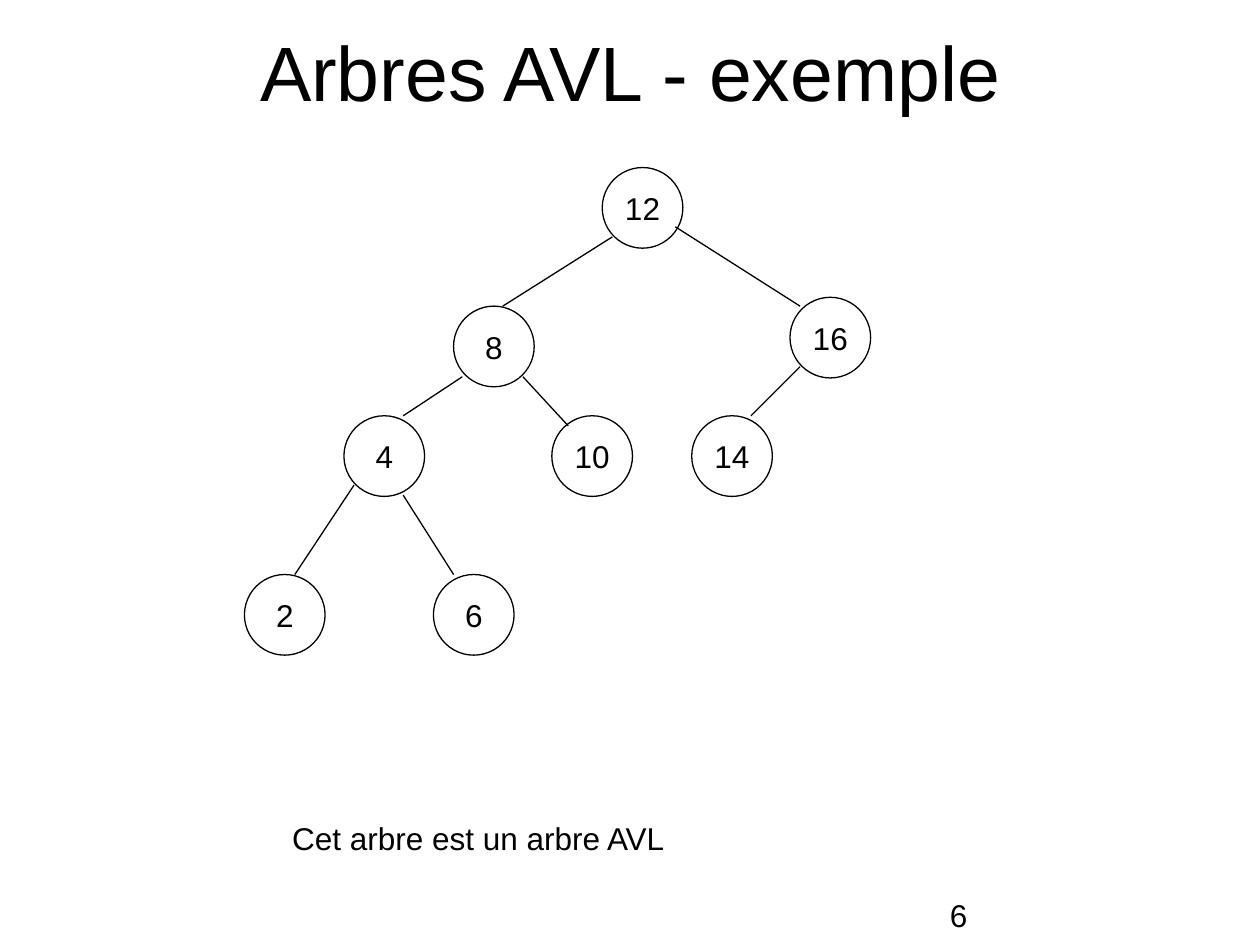
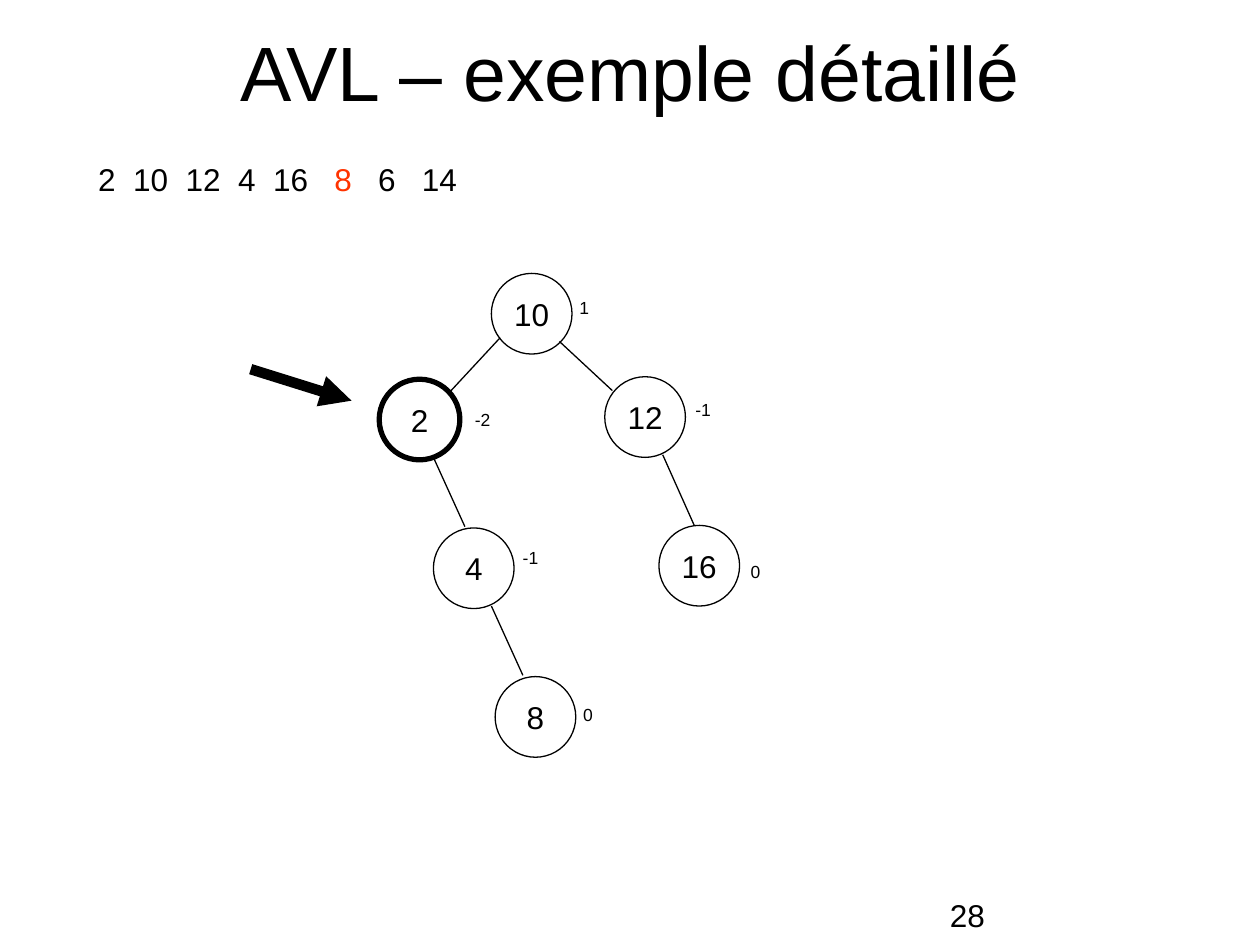
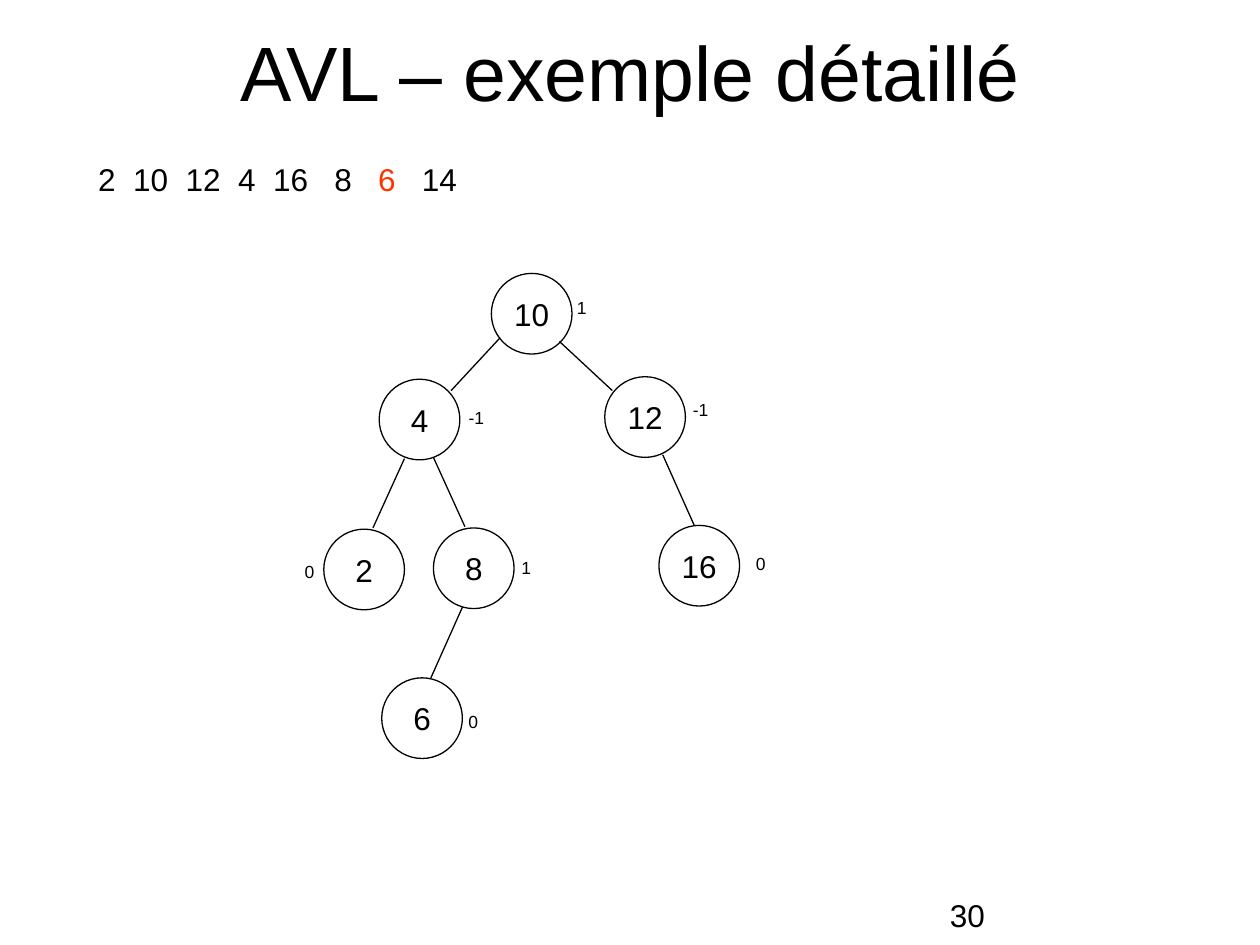
"""Build three slides that show AVL trees and the insertion of keys into them."""
from lxml import etree
from pptx import Presentation
from pptx import util as u
from pptx.dml.color import RGBColor
from pptx.enum import shapes, text
from pptx.oxml import ns

COLORS = {"ink": "000000", "current": "FF3300"}
FONT = "Arial"
DIAMETER = 0.64
DIGIT_WIDTH = 0.14
LABEL_HEIGHT = 0.3
THIN, BOLD, POINTER = 0.75, 3, 6
KEYS = "2  10  12  4  16   8   6   14"

SPOTS = {
    "root": (3.9, 2.17),
    "left": (3.01, 3.01),
    "right": (4.8, 2.99),
    "left-left": (2.57, 4.2),
    "left-right": (3.44, 4.19),
    "right-right": (5.23, 4.17),
    "inner-left": (3.03, 5.38),
    "inner-right": (3.93, 5.37),
}
BRANCHES = {
    "left": (3.58, 3.1, 3.97, 2.68),
    "right": (4.44, 2.71, 4.86, 3.1),
    "left-left": (3.21, 3.64, 2.96, 4.19),
    "left-right": (3.44, 3.63, 3.69, 4.18),
    "right-right": (5.26, 3.61, 5.51, 4.17),
    "inner-left": (3.67, 4.82, 3.42, 5.38),
    "inner-right": (3.9, 4.81, 4.15, 5.36),
}

EXAMPLE_NODES = [
    ("12", 4.78, 1.33), ("8", 3.6, 2.43), ("4", 2.73, 3.3), ("10", 4.38, 3.3),
    ("16", 6.27, 2.36), ("2", 1.94, 4.56), ("14", 5.49, 3.3), ("6", 3.44, 4.56),
]
EXAMPLE_BRANCHES = [
    (4.86, 1.88, 3.99, 2.43), (5.36, 1.8, 6.35, 2.43), (6.35, 2.91, 5.96, 3.3),
    (4.15, 2.99, 4.51, 3.38), (3.67, 2.99, 3.2, 3.3), (3.2, 3.93, 3.6, 4.56),
    (2.81, 3.85, 2.34, 4.56),
]

INSERT_8 = {
    "root": ("10", "1", 4.5, 2.31),
    "left": ("2", "-2", 3.67, 3.2),
    "right": ("12", "-1", 5.42, 3.12),
    "left-right": ("4", "-1", 4.05, 4.29),
    "right-right": ("16", "0", 5.86, 4.4),
    "inner-right": ("8", "0", 4.53, 5.54),
}
INSERT_6 = {
    "root": ("10", "1", 4.48, 2.31),
    "left": ("4", "-1", 3.62, 3.18),
    "right": ("12", "-1", 5.4, 3.12),
    "left-left": ("2", "0", 2.32, 4.4),
    "left-right": ("8", "1", 4.04, 4.37),
    "right-right": ("16", "0", 5.9, 4.34),
    "inner-left": ("6", "0", 3.62, 5.59),
}


def color(name):
    return RGBColor.from_string(COLORS[name])


def inches(*lengths):
    return [u.Inches(length) for length in lengths]


def add_words(parent, words, box, size=18, centered=False, padded=True):
    """Write (wording, colour) pairs as one paragraph."""
    frame = parent.shapes.add_textbox(*inches(*box)).text_frame
    frame.word_wrap = box[2] > 1
    if not padded:
        frame.margin_left = frame.margin_right = 0
        frame.margin_top = frame.margin_bottom = 0
    paragraph = frame.paragraphs[0]
    paragraph.alignment = text.PP_ALIGN.CENTER if centered else text.PP_ALIGN.LEFT
    for wording, ink in words:
        run = paragraph.add_run()
        run.text = wording
        run.font.name = FONT
        run.font.size = u.Pt(size)
        run.font.color.rgb = color(ink)
    return frame


def add_slide(deck, title, number):
    """Add a blank slide with its title and page number."""
    slide = deck.slides.add_slide(deck.slide_layouts[6])
    heading = add_words(slide, [(title, "ink")], (0.2, 0.13, 9.61, 0.87), 44, centered=True)
    heading.vertical_anchor = text.MSO_ANCHOR.MIDDLE
    add_words(slide, [(str(number), "ink")], (7.44, 7.06, 2.36, 0.28))
    return slide


def add_node(slide, key, left, top, weight=THIN):
    """Group a circle with the key at its centre."""
    node = slide.shapes.add_group_shape()
    circle = node.shapes.add_shape(
        shapes.MSO_SHAPE.OVAL, *inches(left, top, DIAMETER, DIAMETER))
    circle.shadow.inherit = False
    circle.fill.background()
    circle.line.color.rgb = color("ink")
    circle.line.width = u.Pt(weight)
    width = DIGIT_WIDTH * len(key)
    label = (left + (DIAMETER - width) / 2, top + (DIAMETER - LABEL_HEIGHT) / 2,
             width, LABEL_HEIGHT)
    add_words(node, [(key, "ink")], label, centered=True, padded=False)


def add_line(slide, ends, weight=THIN, arrow=False):
    """Draw a straight line, with an arrowhead at its end if asked."""
    line = slide.shapes.add_connector(shapes.MSO_CONNECTOR.STRAIGHT, *inches(*ends))
    line.line.color.rgb = color("ink")
    line.line.width = u.Pt(weight)
    if arrow:
        etree.SubElement(line.line._get_or_add_ln(), ns.qn("a:tailEnd"), type="triangle")
    etree.SubElement(line._element.spPr, ns.qn("a:effectLst"))


def add_example(deck):
    """Show a complete AVL tree."""
    slide = add_slide(deck, "Arbres AVL - exemple", 6)
    for node in EXAMPLE_NODES:
        add_node(slide, *node)
    for ends in EXAMPLE_BRANCHES:
        add_line(slide, ends)
    add_words(slide, [("Cet arbre est un arbre AVL", "ink")], (2.22, 6.45, 3.19, 0.4))


def add_insertion(deck, number, current, tree, unbalanced=None):
    """Show the tree and its balances after the current key went in."""
    slide = add_slide(deck, "AVL – exemple détaillé", number)
    before, current, after = KEYS.rpartition(current)
    add_words(slide, [(before, "ink"), (current, "current"), (after, "ink")],
              (0.68, 1.22, 3.19, 0.4))
    for spot, (key, balance, left, top) in tree.items():
        add_node(slide, key, *SPOTS[spot], weight=BOLD if spot == unbalanced else THIN)
        if spot in BRANCHES:
            add_line(slide, BRANCHES[spot])
        width = 0.27 if len(balance) == 1 else 0.32
        add_words(slide, [(balance, "ink")], (left, top, width, 0.27), size=10)
    if unbalanced:
        add_line(slide, (1.99, 2.93, 2.79, 3.18), POINTER, arrow=True)


def main():
    deck = Presentation()
    deck.slide_width, deck.slide_height = inches(10, 7.5)
    add_example(deck)
    add_insertion(deck, 28, "8", INSERT_8, unbalanced="left")
    add_insertion(deck, 30, "6", INSERT_6)
    deck.save("out.pptx")


if __name__ == "__main__":
    main()
